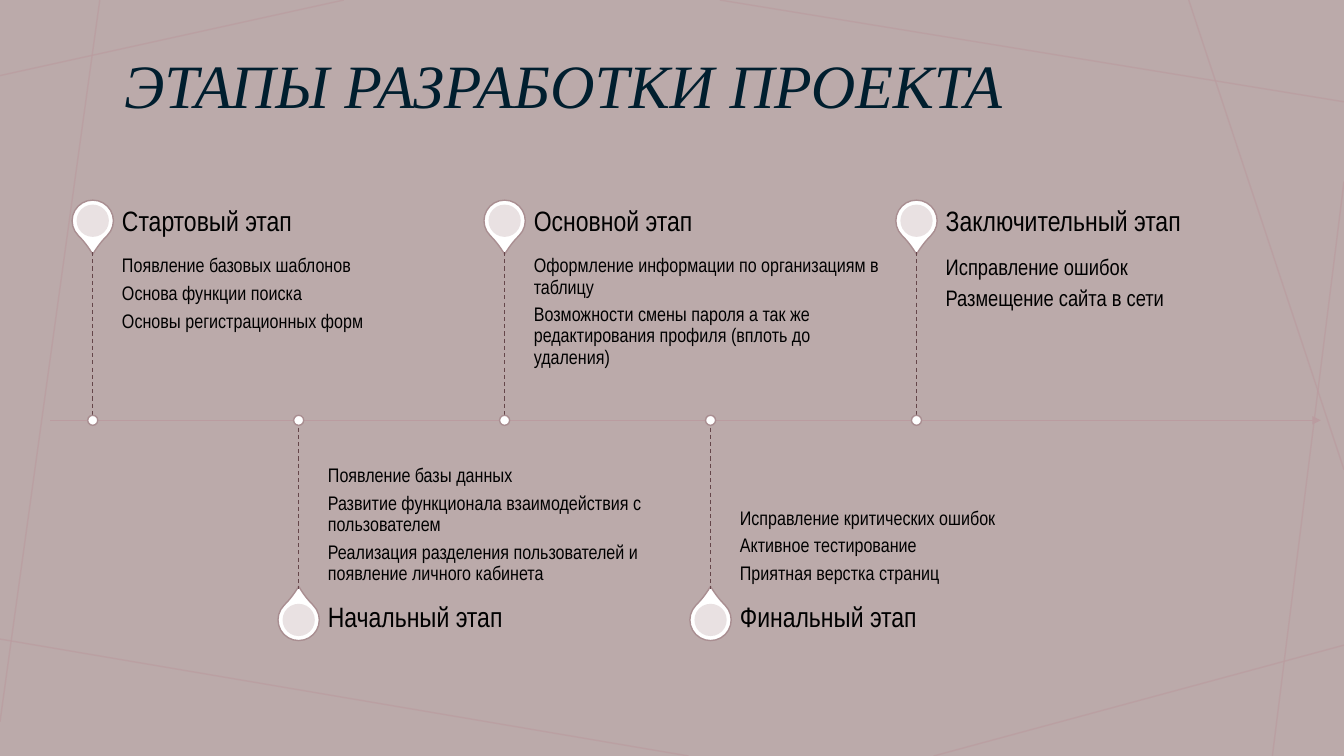
from dataclasses import dataclass
from typing import Optional

import lxml.etree
import pptx
import pptx.dml.color
import pptx.enum.dml
import pptx.enum.shapes
import pptx.enum.text
import pptx.oxml.ns
import pptx.util

Inches = pptx.util.Inches
SHAPE = pptx.enum.shapes.MSO_SHAPE
ANCHOR = pptx.enum.text.MSO_ANCHOR
qn = pptx.oxml.ns.qn


@dataclass(frozen=True)
class Theme:
    background: str = "BBAAAA"
    thread: str = "BA9CA0"
    pin: str = "FFFFFF"
    pin_edge: str = "A98E91"
    pin_core: str = "E7DEDF"
    stem: str = "65464A"
    text: str = "000000"
    title: str = "001E2E"
    body_font: str = "Arial Narrow"
    title_font: str = "Times New Roman"
    title_size: int = 44
    heading_size: int = 20
    body_size: int = 14
    last_body_size: int = 16
    line_spacing: float = 0.9
    paragraph_gap: float = 0.33


@dataclass(frozen=True)
class Stage:
    heading: str
    points: tuple[str, ...]
    size: int = Theme.body_size


@dataclass(frozen=True)
class Line:
    x1: float
    y1: float
    x2: float
    y2: float
    color: str = Theme.thread
    width: float = 1
    opacity: Optional[int] = None
    dashed: bool = False
    arrow: bool = False


THEME = Theme()
AXIS_Y = 4.17
FIRST_X, LAST_X = 0.92, 9.09

THREADS = [
    Line(*ends, opacity=70)
    for ends in (
        (3.41, 0, 0, 0.75),
        (0.99, 0, 0, 7.16),
        (6.83, 7.5, 0, 6.34),
        (13.33, 6.4, 9.26, 7.5),
        (13.33, 1.8, 12.62, 7.5),
        (13.33, 4.66, 11.79, 0),
        (13.33, 1.01, 7.14, 0),
    )
]

# Stages alternate above and below the axis
STAGES = [
    Stage("Стартовый этап", (
        "Появление базовых шаблонов",
        "Основа функции поиска",
        "Основы регистрационных форм")),
    Stage("Начальный этап", (
        "Появление базы данных",
        "Развитие функционала взаимодействия с пользователем",
        "Реализация разделения пользователей и появление личного кабинета")),
    Stage("Основной этап", (
        "Оформление информации по организациям в таблицу",
        "Возможности смены пароля а так же редактирования профиля (вплоть до удаления)")),
    Stage("Финальный этап", (
        "Исправление критических ошибок",
        "Активное тестирование",
        "Приятная верстка страниц")),
    Stage("Заключительный этап", (
        "Исправление ошибок",
        "Размещение сайта в сети"), THEME.last_body_size),
]


def rgb(color: str) -> pptx.dml.color.RGBColor:
    return pptx.dml.color.RGBColor.from_string(color)


def set_opacity(element, percent: int) -> None:
    color = element.find(".//" + qn("a:srgbClr"))
    lxml.etree.SubElement(color, qn("a:alpha"), val=str(percent * 1000))


def draw_line(slide, line: Line) -> None:
    connector = slide.shapes.add_connector(
        pptx.enum.shapes.MSO_CONNECTOR.STRAIGHT,
        Inches(line.x1), Inches(line.y1), Inches(line.x2), Inches(line.y2))
    connector.line.color.rgb = rgb(line.color)
    connector.line.width = pptx.util.Pt(line.width)
    if line.dashed:
        connector.line.dash_style = pptx.enum.dml.MSO_LINE.DASH
    properties = connector._element.spPr
    if line.opacity is not None:
        set_opacity(properties, line.opacity)
    if line.arrow:
        lxml.etree.SubElement(properties.find(qn("a:ln")), qn("a:tailEnd"), type="triangle")
    lxml.etree.SubElement(properties, qn("a:effectLst"))


def draw_round(slide, kind, x: float, y: float, size: float,
               fill: str, edge: Optional[str] = None):
    """Draw a shape of equal sides centred on x, y."""
    shape = slide.shapes.add_shape(
        kind, Inches(x - size / 2), Inches(y - size / 2), Inches(size), Inches(size))
    shape.shadow.inherit = False
    shape.fill.solid()
    shape.fill.fore_color.rgb = rgb(fill)
    if edge:
        shape.line.color.rgb = rgb(edge)
        shape.line.width = pptx.util.Pt(1)
    else:
        shape.line.fill.background()
    return shape


def add_run(paragraph, text: str, font: str, size: int, color: str, italic: bool = False) -> None:
    paragraph.line_spacing = THEME.line_spacing
    run = paragraph.add_run()
    run.text = text
    run.font.name = font
    run.font.size = pptx.util.Pt(size)
    run.font.color.rgb = rgb(color)
    run.font.italic = italic


def draw_text(slide, x: float, y: float, height: float, texts: tuple[str, ...],
              size: int, anchor, margin: float = 0) -> None:
    box = slide.shapes.add_textbox(Inches(x), Inches(y), Inches(3.45), Inches(height))
    frame = box.text_frame
    frame.word_wrap = True
    frame.vertical_anchor = anchor
    frame.margin_left = frame.margin_right = 0
    frame.margin_top = frame.margin_bottom = Inches(margin)
    for index, text in enumerate(texts):
        paragraph = frame.add_paragraph() if index else frame.paragraphs[0]
        paragraph.space_after = pptx.util.Pt(size * THEME.paragraph_gap)
        add_run(paragraph, text, THEME.body_font, size, THEME.text)


def draw_stage(slide, stage: Stage, x: float, above: bool) -> None:
    side = -1 if above else 1
    pin_y = AXIS_Y + side * 1.98
    pin = draw_round(slide, SHAPE.TEAR, x, pin_y, 0.41, THEME.pin, THEME.pin_edge)
    pin.adjustments[0] = 1.15
    pin.rotation = 135 if above else 315
    core = draw_round(slide, SHAPE.OVAL, x, pin_y, 0.32, THEME.pin_core)
    set_opacity(core._element.spPr, 90)

    text_x = x + 0.29
    body_height, heading_height = 1.67, 0.59
    body_y = AXIS_Y - body_height if above else AXIS_Y
    heading_y = body_y - heading_height if above else body_y + body_height
    draw_text(slide, text_x, body_y, body_height, stage.points, stage.size,
              ANCHOR.TOP if above else ANCHOR.BOTTOM, 0.04)
    draw_text(slide, text_x, heading_y, heading_height, (stage.heading,),
              THEME.heading_size, ANCHOR.MIDDLE)

    stem_end = AXIS_Y + side * body_height
    draw_line(slide, Line(x, min(stem_end, AXIS_Y), x, max(stem_end, AXIS_Y),
                          THEME.stem, 0.75, dashed=True))
    draw_round(slide, SHAPE.OVAL, x, AXIS_Y, 0.1, THEME.pin, THEME.pin_edge)


def draw_title(slide) -> None:
    title = slide.shapes.title
    title.left, title.top = Inches(1.13), Inches(0.12)
    title.width, title.height = Inches(10.83), Inches(1.51)
    title.text_frame.vertical_anchor = ANCHOR.MIDDLE
    paragraph = title.text_frame.paragraphs[0]
    paragraph.alignment = pptx.enum.text.PP_ALIGN.LEFT
    add_run(paragraph, "ЭТАПЫ РАЗРАБОТКИ ПРОЕКТА", THEME.title_font,
            THEME.title_size, THEME.title, italic=True)


def main() -> None:
    deck = pptx.Presentation()
    deck.slide_width, deck.slide_height = Inches(13.33), Inches(7.5)
    slide = deck.slides.add_slide(deck.slide_layouts[5])
    slide.background.fill.solid()
    slide.background.fill.fore_color.rgb = rgb(THEME.background)
    draw_title(slide)
    # Background threads, then the time axis
    for line in [*THREADS, Line(0.5, AXIS_Y, 13.1, AXIS_Y, arrow=True)]:
        draw_line(slide, line)
    # Stages at equal steps
    step = (LAST_X - FIRST_X) / (len(STAGES) - 1)
    for index, stage in enumerate(STAGES):
        draw_stage(slide, stage, FIRST_X + index * step, above=index % 2 == 0)
    deck.save("out.pptx")


if __name__ == "__main__":
    main()
